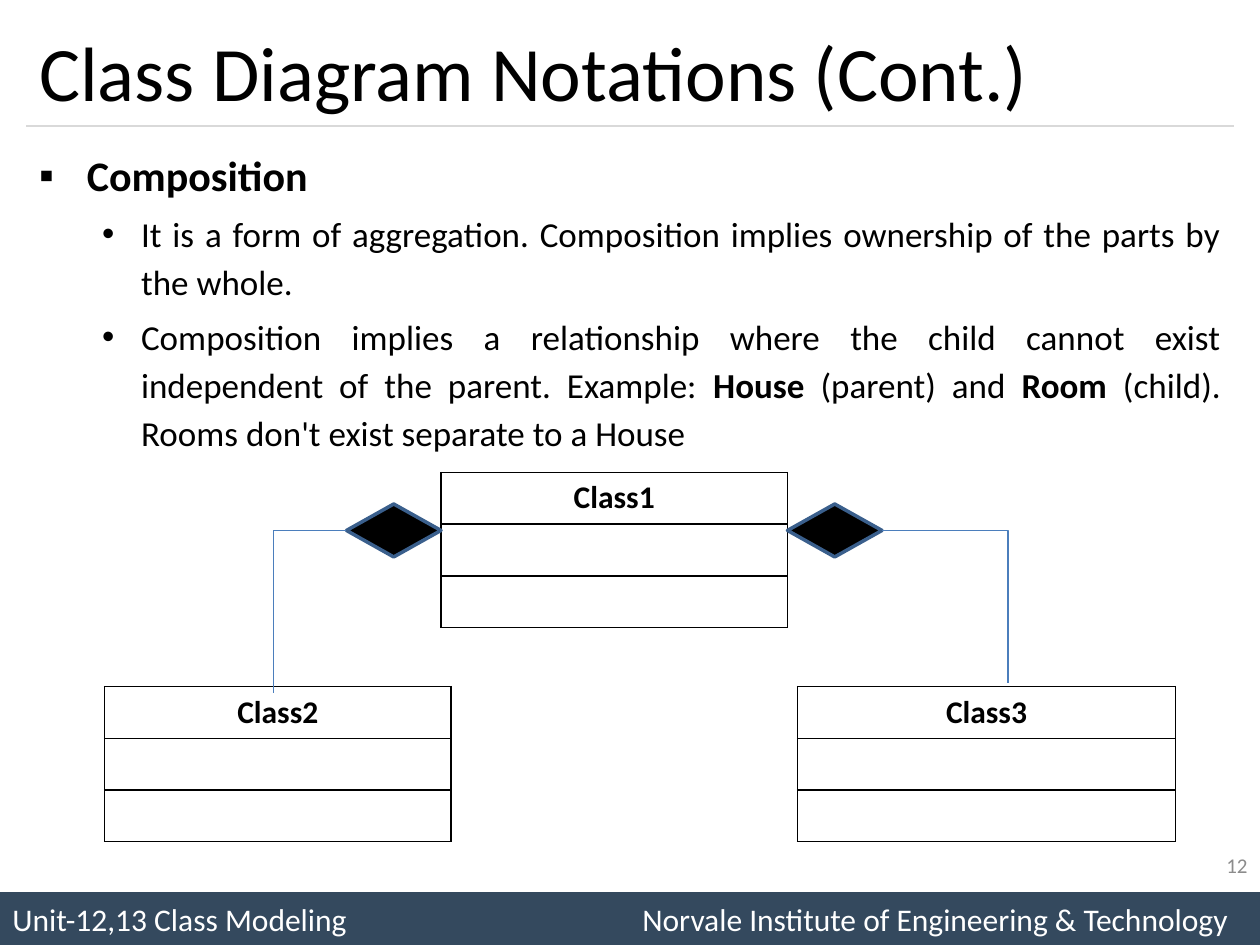
"""Build the class diagram slide that explains composition."""
from lxml.etree import SubElement
from pptx import Presentation
from pptx.dml.color import RGBColor as Rgb
from pptx.enum.shapes import MSO_CONNECTOR as Connector, MSO_SHAPE as Shape
from pptx.enum.text import MSO_ANCHOR as Anchor, MSO_AUTO_SIZE as AutoSize, PP_ALIGN as Align
from pptx.oxml.ns import qn
from pptx.util import Inches, Pt

COLORS = {
    "black": "000000",
    "white": "FFFFFF",
    "footer": "34495E",
    "rule": "D9D9D9",
    "number": "8C8C8C",
    "diamond_edge": "3A5F8C",
    "link": "4B7EBC",
}
BULLETS = [("▪", 0.38, -0.38, 24), ("•", 0.81, -0.31, 20)]


def color(name):
    return Rgb.from_string(COLORS[name])


def write(paragraph, text, size=18, fill="black", bold=False, align=Align.LEFT):
    paragraph.alignment = align
    run = paragraph.add_run()
    run.text = text
    run.font.name = "Calibri"
    run.font.size = Pt(size)
    run.font.bold = bold
    run.font.color.rgb = color(fill)


class DiagramSlide:
    def __init__(self, slide, row_height=0.41, line_width=0.75):
        self.slide = slide
        self.shapes = slide.shapes
        self.row_height = row_height
        self.line_width = line_width

    def place(self, shape, left, top, width, height):
        shape.left, shape.top = Inches(left), Inches(top)
        shape.width, shape.height = Inches(width), Inches(height)

    def title(self, text, *box):
        title = self.shapes.title
        self.place(title, *box)
        title.text_frame.vertical_anchor = Anchor.MIDDLE
        write(title.text_frame.paragraphs[0], text, size=44)

    def body(self, items, *box):
        body = self.slide.placeholders[1]
        self.place(body, *box)
        frame = body.text_frame
        frame.auto_size = AutoSize.NONE
        for index, (level, runs) in enumerate(items):
            paragraph = frame.add_paragraph() if index else frame.paragraphs[0]
            paragraph.level = level
            paragraph.line_spacing = 1.14
            bullet, margin, indent, size = BULLETS[level]
            properties = paragraph._p.get_or_add_pPr()
            properties.set("marL", str(Inches(margin)))
            properties.set("indent", str(Inches(indent)))
            SubElement(properties, qn("a:buFont")).set("typeface", "Arial")
            SubElement(properties, qn("a:buChar")).set("char", bullet)
            for text, bold in runs:
                write(paragraph, text, size=size, bold=bold, align=Align.JUSTIFY)

    def shape(self, kind, left, top, width, height, fill, edge=None):
        shape = self.shapes.add_shape(
            kind, Inches(left), Inches(top), Inches(width), Inches(height))
        shape.shadow.inherit = False
        shape.fill.solid()
        shape.fill.fore_color.rgb = color(fill)
        if edge:
            shape.line.color.rgb = color(edge)
            shape.line.width = Pt(2)
        else:
            shape.line.fill.background()
        return shape

    def footer(self, left_text, right_text, tab_stop, *box):
        frame = self.shape(Shape.RECTANGLE, *box, fill="footer").text_frame
        frame.vertical_anchor = Anchor.MIDDLE
        paragraph = frame.paragraphs[0]
        write(paragraph, f"{left_text}\t{right_text}", fill="white")
        tabs = SubElement(paragraph._p.get_or_add_pPr(), qn("a:tabLst"))
        SubElement(tabs, qn("a:tab"), pos=str(Inches(tab_stop)), algn="l")

    def number(self, text, left, top, width, height):
        box = self.shapes.add_textbox(
            Inches(left), Inches(top), Inches(width), Inches(height))
        box.text_frame.word_wrap = True
        box.text_frame.vertical_anchor = Anchor.MIDDLE
        write(box.text_frame.paragraphs[0], text, size=12, fill="number", align=Align.RIGHT)

    def line(self, start, end, stroke, kind=Connector.STRAIGHT):
        x1, y1, x2, y2 = map(Inches, (*start, *end))
        connector = self.shapes.add_connector(kind, x1, y1, x2, y2)
        connector.line.color.rgb = color(stroke)
        connector.line.width = Pt(self.line_width)
        SubElement(connector._element.spPr, qn("a:effectLst"))
        return connector

    def corner(self, start, end):
        connector = self.line(start, end, "link", Connector.ELBOW)
        connector._element.spPr.find(qn("a:prstGeom")).set("prst", "bentConnector2")

    def class_box(self, name, left, top, width):
        rows = 3
        table = self.shapes.add_table(
            rows, 1, Inches(left), Inches(top), Inches(width),
            Inches(rows * self.row_height)).table
        table.first_row = table.horz_banding = False
        for row in table.rows:
            row.height = Inches(self.row_height)
            self.outline(row.cells[0])
        write(table.cell(0, 0).text_frame.paragraphs[0], name, bold=True, align=Align.CENTER)

    def outline(self, cell):
        properties = cell._tc.get_or_add_tcPr()
        for side in ("a:lnL", "a:lnR", "a:lnT", "a:lnB"):
            border = SubElement(properties, qn(side), w=str(Pt(1)))
            fill = SubElement(border, qn("a:solidFill"))
            SubElement(fill, qn("a:srgbClr"), val=COLORS["black"])
        cell.fill.background()


def main():
    presentation = Presentation()
    presentation.slide_width, presentation.slide_height = Inches(10), Inches(7.5)
    diagram = DiagramSlide(presentation.slides.add_slide(presentation.slide_layouts[1]))

    diagram.footer("Unit-12,13 Class Modeling",
                   "Norvale Institute of Engineering & Technology", 5, 0, 7.08, 10, 0.42)
    diagram.line((0.21, 1), (9.79, 1), "rule")
    diagram.title("Class Diagram Notations (Cont.)", 0.21, 0.12, 9.58, 0.88)
    diagram.body([
        (0, [("Composition", True)]),
        (1, [("It is a form of aggregation. Composition implies ownership of the "
              "parts by the whole.", False)]),
        (1, [("Composition implies a relationship where the child cannot exist "
              "independent of the parent. Example: ", False),
             ("House", True), (" (parent) and ", False), ("Room", True),
             (" (child). Rooms don't exist separate to a House", False)]),
    ], 0.21, 1.08, 9.58, 5.83)
    diagram.number("12", 7.67, 6.67, 2.33, 0.4)

    for name, left, top, width in [("Class2", 0.83, 5.45, 2.75),
                                   ("Class3", 6.33, 5.45, 3),
                                   ("Class1", 3.5, 3.75, 2.75)]:
        diagram.class_box(name, left, top, width)
    for left, start, end in [(2.75, (2.75, 4.21), (2.17, 5.5)),
                             (6.25, (7, 4.21), (8, 5.42))]:
        diagram.shape(Shape.FLOWCHART_DECISION, left, 4, 0.75, 0.42,
                      fill="black", edge="diamond_edge")
        diagram.corner(start, end)

    presentation.save("out.pptx")


if __name__ == "__main__":
    main()
